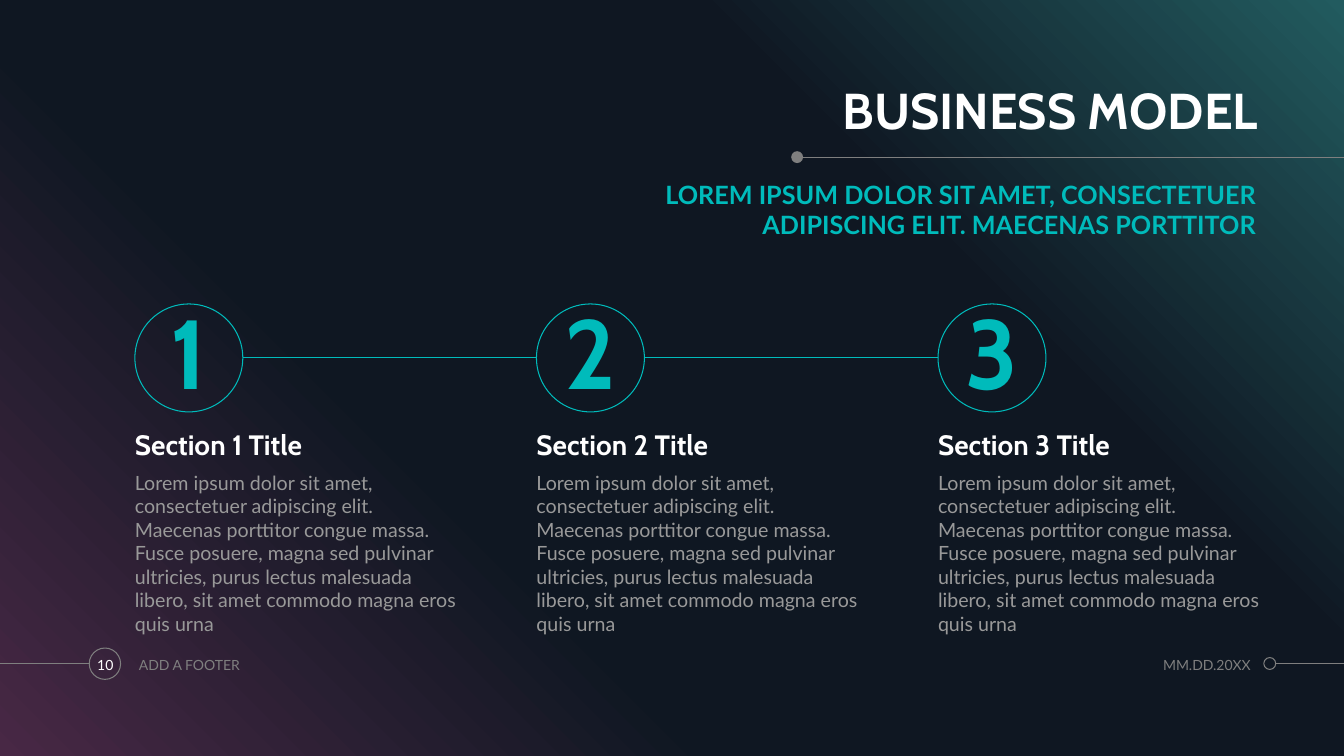
import pptx
import pptx.dml.color
import pptx.enum.shapes
import pptx.enum.text
import pptx.oxml
import pptx.oxml.ns
import pptx.util
import lxml.etree

Cm = pptx.util.Cm
ALIGN = pptx.enum.text.PP_ALIGN
ANCHOR = pptx.enum.text.MSO_ANCHOR
SHAPE = pptx.enum.shapes.MSO_SHAPE

WIDTH, HEIGHT = 33.87, 19.05
COLORS = {
    "plum": "482845",
    "night": "0F1722",
    "pine": "225B5F",
    "teal": "00BBBB",
    "white": "FFFFFF",
    "gray": "7F7F7F",
    "silver": "999999",
}
BODY = (
    "Lorem ipsum dolor sit amet, consectetuer adipiscing elit. "
    "Maecenas porttitor congue massa. Fusce posuere, magna sed pulvinar "
    "ultricies, purus lectus malesuada libero, sit amet commodo magna eros "
    "quis urna"
)


def rgb(color):
    return pptx.dml.color.RGBColor.from_string(COLORS[color])


class SlideBuilder:
    heading_font = "Cabin"
    body_font = "Lato"
    line_width = pptx.util.Pt(0.75)

    def __init__(self, slide):
        self.slide = slide

    def gradient_backdrop(self, stops, angle):
        backdrop = self.slide.shapes.add_shape(SHAPE.RECTANGLE, 0, 0, Cm(WIDTH), Cm(HEIGHT))
        backdrop.shadow.inherit = False
        backdrop.line.fill.background()
        backdrop.fill.gradient()
        backdrop.fill.gradient_angle = angle
        qn = pptx.oxml.ns.qn
        stop_list = backdrop._element.spPr.find(qn("a:gradFill")).find(qn("a:gsLst"))
        for stop in list(stop_list):
            stop_list.remove(stop)
        for percent, color in stops:
            stop = lxml.etree.SubElement(stop_list, qn("a:gs"), pos=str(percent * 1000))
            lxml.etree.SubElement(stop, qn("a:srgbClr"), val=COLORS[color])

    def line(self, left, right, y, color):
        connector = self.slide.shapes.add_connector(
            pptx.enum.shapes.MSO_CONNECTOR.STRAIGHT, Cm(left), Cm(y), Cm(right), Cm(y)
        )
        connector.line.color.rgb = rgb(color)
        connector.line.width = self.line_width
        effects = pptx.oxml.ns.qn("a:effectLst")
        lxml.etree.SubElement(connector._element.spPr, effects)

    def circle(self, left, top, size, color, filled=False):
        circle = self.slide.shapes.add_shape(
            SHAPE.OVAL, Cm(left), Cm(top), Cm(size), Cm(size)
        )
        circle.shadow.inherit = False
        if filled:
            circle.fill.solid()
            circle.fill.fore_color.rgb = rgb(color)
            circle.line.fill.background()
        else:
            circle.fill.background()
            circle.line.color.rgb = rgb(color)
            circle.line.width = self.line_width
        return circle

    def text(self, left, top, width, height, words, size, color, **style):
        box = self.slide.shapes.add_textbox(Cm(left), Cm(top), Cm(width), Cm(height))
        self.set_text(box, words, size, color, **style)

    def set_text(self, box, words, size, color, heading=False, bold=False,
                 align=ALIGN.LEFT, anchor=ANCHOR.TOP):
        frame = box.text_frame
        frame.word_wrap = True
        frame.vertical_anchor = anchor
        frame.margin_left = frame.margin_right = 0
        frame.margin_top = frame.margin_bottom = 0
        frame.text = words
        para = frame.paragraphs[0]
        para.alignment = align
        if heading:
            para.line_spacing = 0.9
        span = para.runs[0]
        span.font.name = self.heading_font if heading else self.body_font
        span.font.size = pptx.util.Pt(size)
        span.font.bold = bold or heading
        span.font.color.rgb = rgb(color)

    def step(self, number, left, top, size):
        circle = self.circle(left, top, size, "teal")
        self.set_text(circle, str(number), 70, "teal", heading=True,
                      align=ALIGN.CENTER, anchor=ANCHOR.MIDDLE)
        self.text(left, 10.72, 8.18, 0.91, f"Section {number} Title", 20, "white",
                  heading=True, anchor=ANCHOR.BOTTOM)
        self.text(left, 11.86, 8.18, 3.94, BODY, 14, "silver")


def main():
    deck = pptx.Presentation()
    deck.slide_width, deck.slide_height = Cm(WIDTH), Cm(HEIGHT)
    page = SlideBuilder(deck.slides.add_slide(deck.slide_layouts[6]))

    page.gradient_backdrop([(0, "plum"), (34, "night"), (69, "night"), (100, "pine")], 45)

    page.line(20.17, WIDTH, 3.96, "gray")
    page.circle(19.94, 3.81, 0.3, "gray", filled=True)
    page.text(14.17, 1.96, 17.53, 1.57, "BUSINESS MODEL", 36, "white",
              heading=True, align=ALIGN.RIGHT, anchor=ANCHOR.BOTTOM)
    page.text(14.17, 4.52, 17.48, 1.57,
              "LOREM IPSUM DOLOR SIT AMET, CONSECTETUER ADIPISCING ELIT. "
              "MAECENAS PORTTITOR",
              18, "teal", bold=True, align=ALIGN.RIGHT)

    first_left, pitch, top, size = 3.4, 10.12, 7.66, 2.72
    for index in range(3):
        left = first_left + index * pitch
        page.step(index + 1, left, top, size)
        if index < 2:
            page.line(left + size, left + pitch, top + size / 2, "teal")

    page.line(0, 2.25, 16.72, "gray")
    page.circle(2.25, 16.33, 0.79, "gray")
    page.line(32.15, WIDTH, 16.72, "gray")
    page.circle(31.85, 16.57, 0.3, "gray")
    for left, width, words, color, align in [
        (2.16, 0.99, "10", "white", ALIGN.CENTER),
        (3.5, 7.6, "ADD A FOOTER", "gray", ALIGN.LEFT),
        (27.82, 3.7, "MM.DD.20XX", "gray", ALIGN.RIGHT),
    ]:
        page.text(left, 16.33, width, 0.84, words, 10, color,
                  align=align, anchor=ANCHOR.MIDDLE)

    deck.save("out.pptx")


if __name__ == "__main__":
    main()
